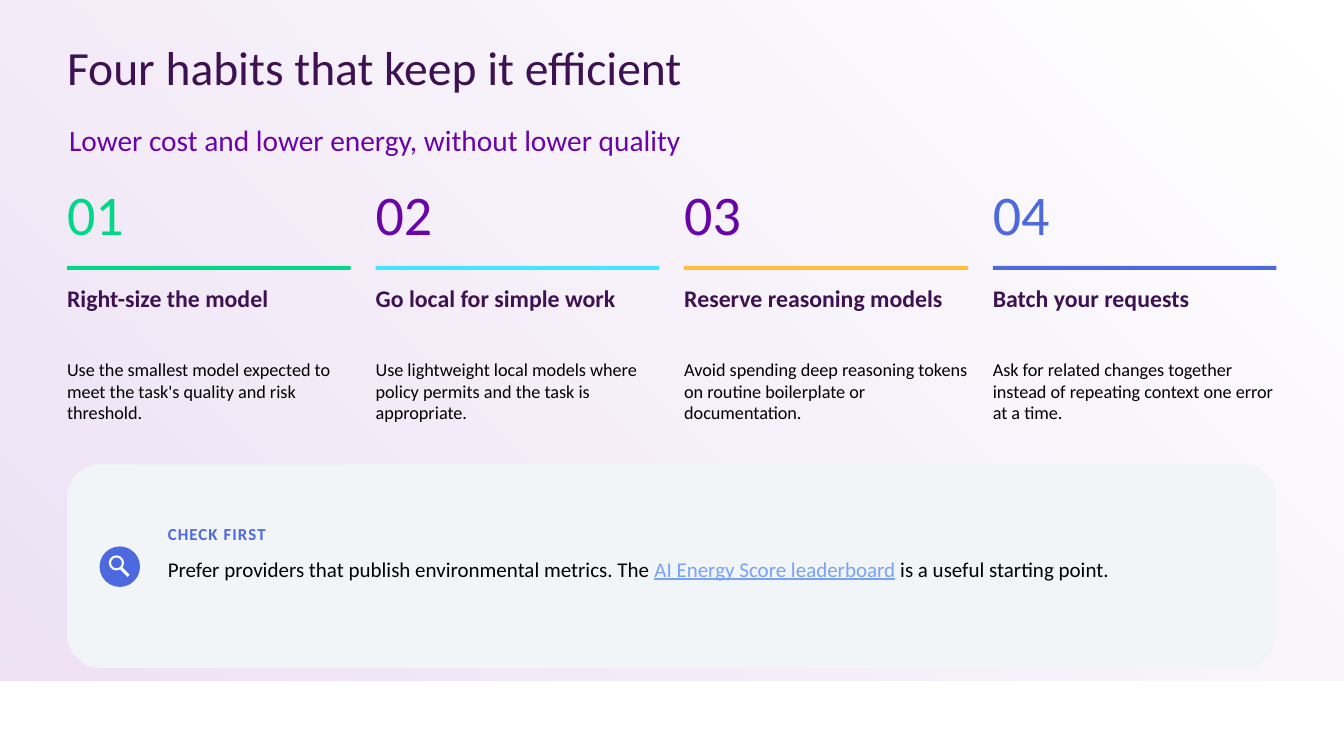
from dataclasses import dataclass

import pptx
import pptx.dml.color
import pptx.enum.shapes
import pptx.enum.text
import pptx.oxml
import pptx.oxml.ns
import pptx.util
from pptx.util import Cm

TITLE = "Four habits that keep it efficient"
SUBTITLE = "Lower cost and lower energy, without lower quality"
HABITS = [
    ("Right-size the model",
     "Use the smallest model expected to meet the task's quality and risk threshold."),
    ("Go local for simple work",
     "Use lightweight local models where policy permits and the task is appropriate."),
    ("Reserve reasoning models",
     "Avoid spending deep reasoning tokens on routine boilerplate or documentation."),
    ("Batch your requests",
     "Ask for related changes together instead of repeating context one error at a time."),
]
CHECK_LABEL = "CHECK FIRST"
CHECK_TEXT = (
    "Prefer providers that publish environmental metrics. The ",
    "AI Energy Score leaderboard",
    " is a useful starting point.",
)


@dataclass(frozen=True)
class Theme:
    font: str = "Calibri"
    ink: str = "3D1152"
    purple: str = "6B04A8"
    blue: str = "4D69E0"
    green: str = "00D787"
    cyan: str = "44E5FF"
    amber: str = "FFBE3E"
    link: str = "78A1FC"
    panel: str = "F2F5F7"
    black: str = "000000"
    white: str = "FFFFFF"
    title: float = 34
    subtitle: float = 21
    number: float = 40
    heading: float = 17
    body: float = 13
    label: float = 12
    check: float = 15


T = Theme()
ACCENTS = [
    (T.green, T.green),
    (T.purple, T.cyan),
    (T.purple, T.amber),
    (T.blue, T.blue),
]
SHAPE = pptx.enum.shapes.MSO_SHAPE
AUTO = pptx.enum.text.MSO_AUTO_SIZE
LEFT, WIDTH, COLUMN = 1.69, 30.48, 7.15
PITCH = (WIDTH - COLUMN) / (len(HABITS) - 1)


def rgb(color):
    return pptx.dml.color.RGBColor.from_string(color)


def style(r, size, color, bold=False):
    r.font.name = T.font
    r.font.size = pptx.util.Pt(size)
    r.font.bold = bold
    r.font.color.rgb = rgb(color)


def clear_insets(tf, auto_size):
    tf.margin_left = tf.margin_top = tf.margin_right = tf.margin_bottom = 0
    tf.word_wrap = True
    tf.auto_size = auto_size


def add_text(s, box, texts, size, color, bold=False):
    tf = s.shapes.add_textbox(*map(Cm, box)).text_frame
    clear_insets(tf, AUTO.SHAPE_TO_FIT_TEXT)
    p = tf.paragraphs[0]
    for text in texts:
        r = p.add_run()
        r.text = text
        style(r, size, color, bold)
    return p


def add_block(s, kind, box, fill=None):
    sp = s.shapes.add_shape(kind, *map(Cm, box))
    sp.shadow.inherit = False
    sp.line.fill.background()
    if fill:
        sp.fill.solid()
        sp.fill.fore_color.rgb = rgb(fill)
    else:
        sp.fill.background()
    return sp


def add_backdrop(s):
    sp = add_block(s, SHAPE.RECTANGLE, (0, 0, 33.87, 17.15))
    stops = "".join(
        f'<a:gs pos="{pos}"><a:srgbClr val="{T.purple}"><a:alpha val="{alpha}"/></a:srgbClr></a:gs>'
        for pos, alpha in ((0, 12000), (100000, 0)))
    gradient = pptx.oxml.parse_xml(
        f'<a:gradFill {pptx.oxml.ns.nsdecls("a")}><a:gsLst>{stops}</a:gsLst>'
        '<a:path path="circle"><a:fillToRect l="0" t="100000" r="100000" b="0"/></a:path>'
        '</a:gradFill>')
    props = sp.element.spPr
    props.replace(props.find(pptx.oxml.ns.qn("a:noFill")), gradient)
    sp.element.getparent().insert(2, sp.element)


def fill_placeholder(sp, box, text, size, color, spacing):
    sp.left, sp.top, sp.width, sp.height = map(Cm, box)
    tf = sp.text_frame
    tf.text = text
    clear_insets(tf, AUTO.NONE)
    p = tf.paragraphs[0]
    p.alignment = pptx.enum.text.PP_ALIGN.LEFT
    p.line_spacing = spacing
    p.space_before = pptx.util.Pt(0)
    style(p.runs[0], size, color)
    return tf


def add_headings(s):
    tf = fill_placeholder(s.shapes.title, (LEFT, 0.71, WIDTH, 2.24),
                          TITLE, T.title, T.ink, 0.75)
    tf.vertical_anchor = pptx.enum.text.MSO_ANCHOR.MIDDLE
    tf = fill_placeholder(s.placeholders[1], (LEFT, 3.15, WIDTH, 0.89),
                          SUBTITLE, T.subtitle, T.purple, 0.95)
    tf.vertical_anchor = pptx.enum.text.MSO_ANCHOR.TOP
    props = tf.paragraphs[0]._p.get_or_add_pPr()
    props.set("marL", str(Cm(0.05)))
    props.set("indent", "0")
    props.append(pptx.oxml.parse_xml(f'<a:buNone {pptx.oxml.ns.nsdecls("a")}/>'))


def add_habits(s):
    for i, ((heading, body), (number_color, bar_color)) in enumerate(zip(HABITS, ACCENTS)):
        x = LEFT + i * PITCH
        add_text(s, (x, 4.52, COLUMN, 1.9), [f"{i + 1:02}"], T.number, number_color)
        add_block(s, SHAPE.RECTANGLE, (x, 6.7, COLUMN, 0.1), bar_color)
        add_text(s, (x, 7.16, COLUMN, 1.5), [heading], T.heading, T.ink, True)
        p = add_text(s, (x, 9.02, COLUMN, 2.06), [body], T.body, T.black)
        p.space_after = pptx.util.Pt(6)


def add_check(s):
    add_block(s, SHAPE.ROUNDED_RECTANGLE, (LEFT, 11.7, WIDTH, 5.13), T.panel)
    add_block(s, SHAPE.OVAL, (2.51, 13.77, 1.02, 1.02), T.blue)
    lens = add_block(s, SHAPE.OVAL, (2.77, 14.02, 0.33, 0.33))
    lens.line.color.rgb = rgb(T.white)
    lens.line.width = pptx.util.Pt(1.5)
    handle = add_block(s, SHAPE.RECTANGLE, (3.02, 14.38, 0.26, 0.08), T.white)
    handle.rotation = 45

    p = add_text(s, (4.23, 13.21, 5.59, 0.66), [CHECK_LABEL], T.label, T.blue, True)
    p.runs[0].font._element.set("spc", "80")
    p = add_text(s, (4.23, 14.02, 26.67, 1.32), CHECK_TEXT, T.check, T.black)
    link = p.runs[1]
    link.font.color.rgb = rgb(T.link)
    link.font.underline = True


def main():
    prs = pptx.Presentation()
    prs.slide_width, prs.slide_height = Cm(33.87), Cm(19.05)
    s = prs.slides.add_slide(prs.slide_layouts[1])
    add_backdrop(s)
    add_headings(s)
    add_habits(s)
    add_check(s)
    prs.save("out.pptx")


if __name__ == "__main__":
    main()
